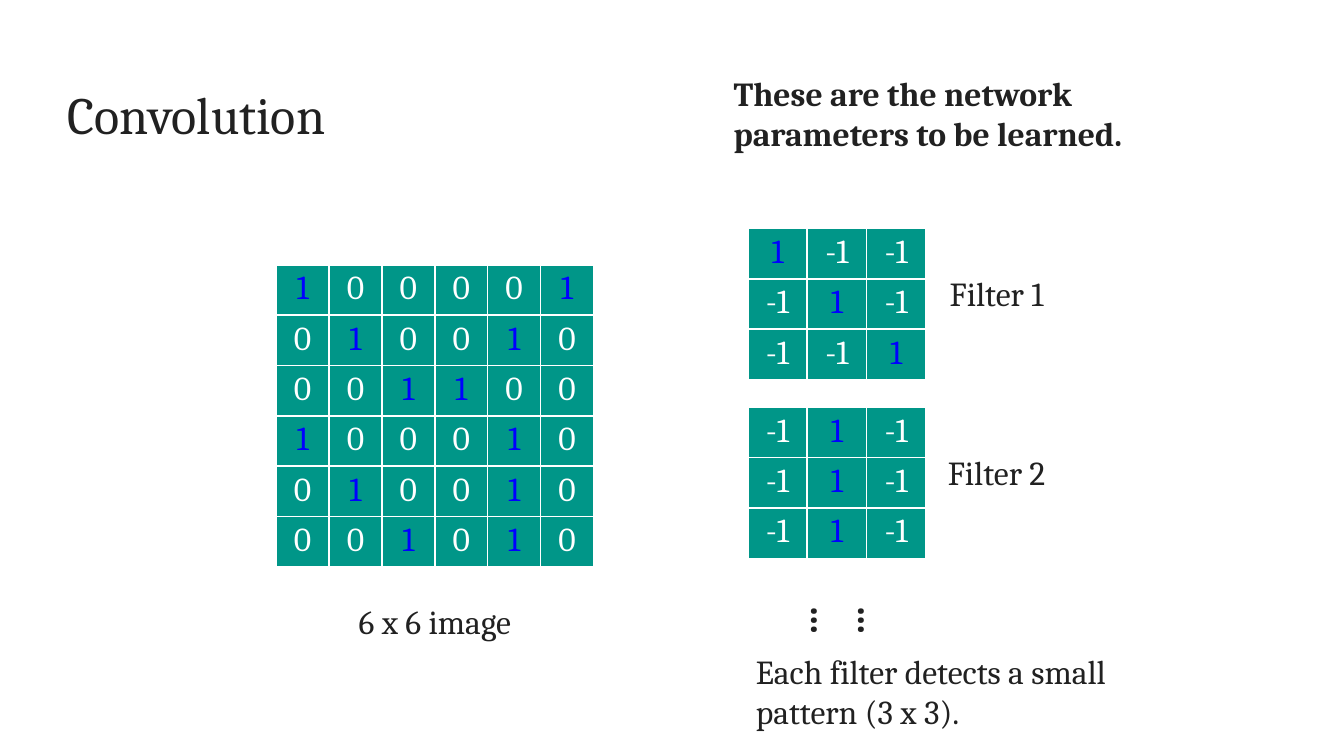
from dataclasses import dataclass

from lxml.etree import SubElement
from pptx import Presentation
from pptx.dml.color import RGBColor
from pptx.enum.text import MSO_ANCHOR, PP_ALIGN
from pptx.oxml.ns import qn
from pptx.util import Pt

SCALE = 4572


@dataclass(frozen=True)
class Theme:
    font: str = "Cambria"
    ink: str = "212121"
    cell: str = "009688"
    zero: str = "FFFFFF"
    one: str = "0000FF"
    border: str = "FFFFFF"
    title: int = 28
    body: int = 18
    dots: int = 21


THEME = Theme()

IMAGE = [
    [1, 0, 0, 0, 0, 1],
    [0, 1, 0, 0, 1, 0],
    [0, 0, 1, 1, 0, 0],
    [1, 0, 0, 0, 1, 0],
    [0, 1, 0, 0, 1, 0],
    [0, 0, 1, 0, 1, 0],
]
FILTERS = [
    [[1, -1, -1], [-1, 1, -1], [-1, -1, 1]],
    [[-1, 1, -1], [-1, 1, -1], [-1, 1, -1]],
]


def px(value):
    return value * SCALE


def add_run(paragraph, text, size, color, bold=False):
    run = paragraph.add_run()
    run.text = text
    run.font.name = THEME.font
    run.font.size = Pt(size)
    run.font.bold = bold
    run.font.color.rgb = RGBColor.from_string(color)


def add_label(slide, box, text, size=THEME.body, bold=False,
              align=PP_ALIGN.LEFT, anchor=MSO_ANCHOR.TOP):
    shape = slide.shapes.add_textbox(*map(px, box))
    frame = shape.text_frame
    frame.word_wrap = True
    frame.vertical_anchor = anchor
    paragraph = frame.paragraphs[0]
    paragraph.alignment = align
    add_run(paragraph, text, size, THEME.ink, bold)
    return shape


def add_borders(cell):
    properties = cell._tc.get_or_add_tcPr()
    for side in ("a:lnL", "a:lnR", "a:lnT", "a:lnB"):
        line = SubElement(properties, qn(side), w=str(Pt(1)))
        fill = SubElement(line, qn("a:solidFill"))
        SubElement(fill, qn("a:srgbClr"), val=THEME.border)


def add_matrix(slide, box, values, inset):
    left, top, width, height = map(px, box)
    rows, columns = len(values), len(values[0])
    table = slide.shapes.add_table(rows, columns, left, top, width, height).table
    table.first_row = False
    table.horz_banding = False
    for column in table.columns:
        column.width = width // columns
    for row, row_values in zip(table.rows, values):
        row.height = height // rows
        for cell, value in zip(row.cells, row_values):
            cell.margin_left = cell.margin_right = px(inset)
            cell.margin_top = cell.margin_bottom = px(7)
            add_borders(cell)
            cell.fill.solid()
            cell.fill.fore_color.rgb = RGBColor.from_string(THEME.cell)
            paragraph = cell.text_frame.paragraphs[0]
            paragraph.alignment = PP_ALIGN.CENTER
            color = THEME.one if value == 1 else THEME.zero
            add_run(paragraph, str(value), THEME.body, color)


def add_title(slide, box):
    shape = add_label(slide, box, "Convolution", THEME.title,
                      anchor=MSO_ANCHOR.MIDDLE)
    frame = shape.text_frame
    frame.margin_left = frame.margin_right = px(14)
    frame.margin_top = frame.margin_bottom = px(7)


def add_image_region(slide, box):
    left, top, width, height = box
    add_matrix(slide, (left, top, width, 450), IMAGE, 14)
    add_label(slide, (left + 44, top + height - 80, 384, 80), "6 x 6 image",
              align=PP_ALIGN.CENTER)


def add_filter(slide, box, number, values):
    left, top, width, height = box
    add_matrix(slide, (left, top, 265, height), values, 15)
    add_label(slide, (left + width - 238, top + 57, 238, 80),
              f"Filter {number}", align=PP_ALIGN.CENTER)


def add_filter_region(slide, box):
    left, top, width, height = box
    add_label(slide, (left, top, width, 142),
              "These are the network parameters to be learned.", bold=True)
    for index, values in enumerate(FILTERS):
        add_filter(slide, (left + 41, top + 242 + 266 * index, 489, 225),
                   index + 1, values)
    dots = add_label(slide, (left + 134, top + 760, 116, 162), "……",
                     THEME.dots, bold=True)
    dots.rotation = 90
    add_label(slide, (left + 33, top + height - 142, 584, 142),
              "Each filter detects a small pattern (3 x 3).")


def main():
    presentation = Presentation()
    presentation.slide_width = px(2000)
    presentation.slide_height = px(1125)
    slide = presentation.slides.add_slide(presentation.slide_layouts[6])
    add_title(slide, (86, 60, 1294, 218))
    add_image_region(slide, (411, 394, 472, 571))
    add_filter_region(slide, (1072, 98, 650, 1003))
    presentation.save("out.pptx")


if __name__ == "__main__":
    main()
